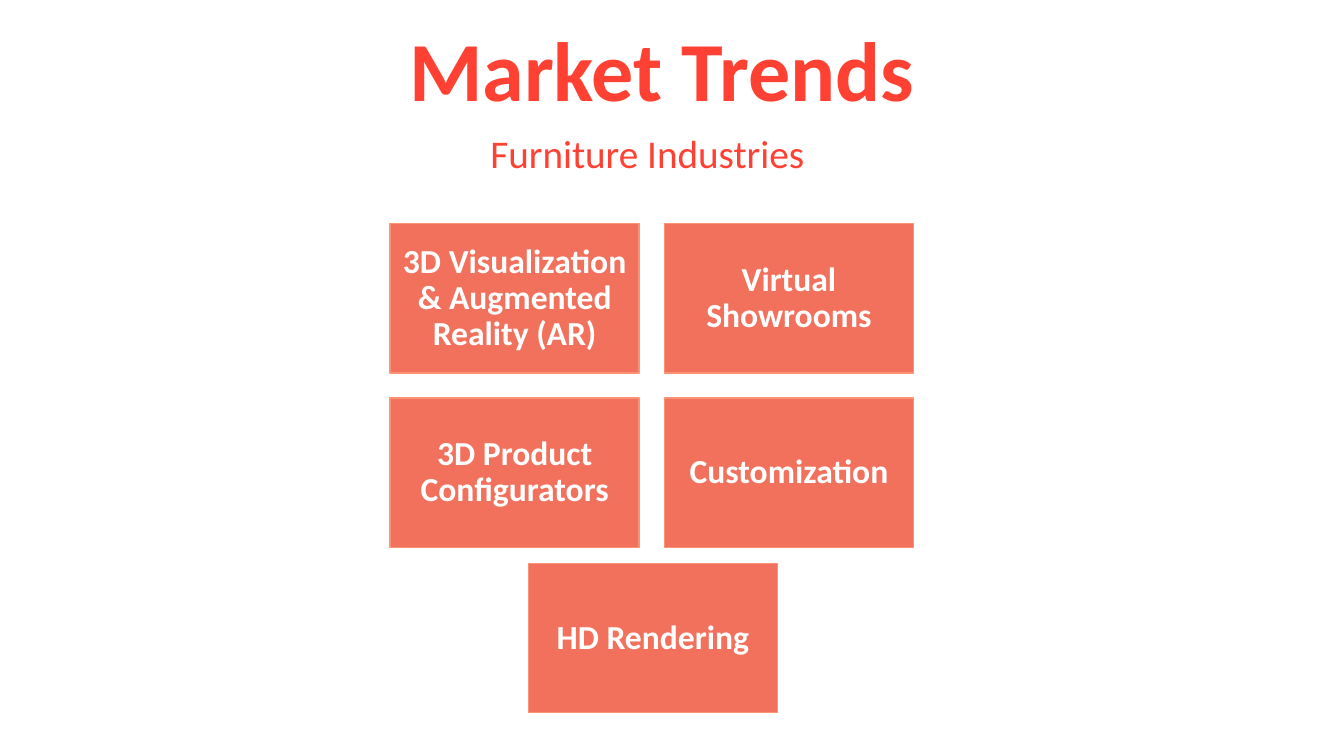
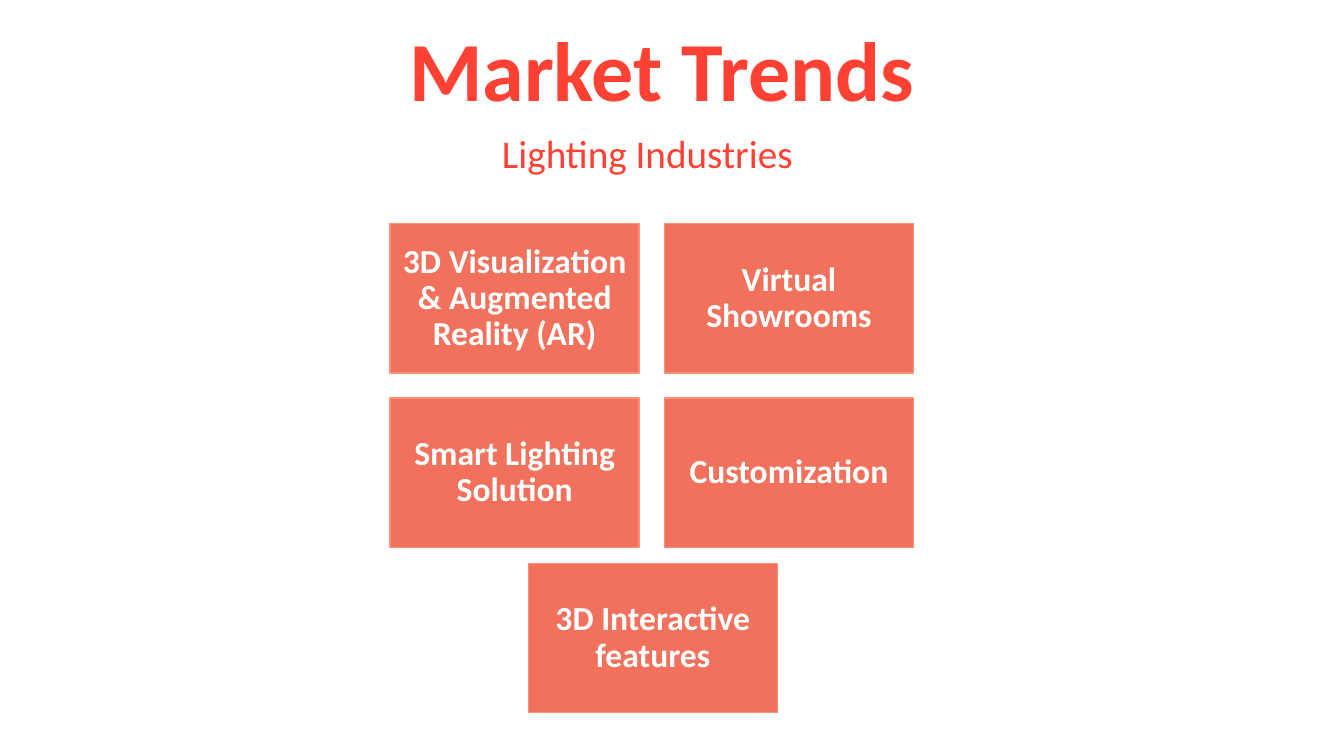
from pptx import Presentation
from pptx.dml.color import RGBColor
from pptx.enum import shapes, text
from pptx.util import Inches, Pt

# Content
TITLE = "Market Trends"
SLIDES = [
    ("Furniture Industries",
     ["3D Visualization & Augmented Reality (AR)", "Virtual Showrooms",
      "3D Product Configurators", "Customization", "HD Rendering"]),
    ("Lighting Industries",
     ["3D Visualization & Augmented Reality (AR)", "Virtual Showrooms",
      "Smart Lighting Solution", "Customization", "3D Interactive features"]),
]

# Shared style
RED, CORAL, PEACH, WHITE = "FF4133", "F2715C", "FD9173", "FFFFFF"
TITLE_FONT = {"size": Pt(60), "bold": True}
SUBTITLE_FONT = {"size": Pt(28), "bold": False}
CARD_FONT = {"size": Pt(24), "bold": True}

# Card grid: two columns, with the last card alone below
CARD_W, CARD_H = 2.47, 1.48
GRID_X, GRID_Y = 3.87, 2.22
GAP = 0.25
LAST_X, LAST_Y = 5.24, 5.59


def rgb(value):
    return RGBColor.from_string(value)


def write(tf, words, font, color, align):
    tf.word_wrap = True
    p = tf.paragraphs[0]
    p.alignment = align
    r = p.add_run()
    r.text = words
    r.font.name = "Calibri"
    r.font.color.rgb = rgb(color)
    for name, value in font.items():
        setattr(r.font, name, value)
    return p


def add_heading(s, box, words, font, align):
    sp = s.shapes.add_textbox(*map(Inches, box))
    write(sp.text_frame, words, font, RED, align)


def add_card(s, x, y, words):
    sp = s.shapes.add_shape(shapes.MSO_SHAPE.RECTANGLE,
                            *map(Inches, (x, y, CARD_W, CARD_H)))
    sp.shadow.inherit = False
    sp.fill.solid()
    sp.fill.fore_color.rgb = rgb(CORAL)
    sp.line.color.rgb = rgb(PEACH)
    sp.line.width = Pt(1)
    tf = sp.text_frame
    tf.vertical_anchor = text.MSO_ANCHOR.MIDDLE
    for side in ("left", "top", "right", "bottom"):
        setattr(tf, f"margin_{side}", Inches(0.1))
    p = write(tf, words, CARD_FONT, WHITE, text.PP_ALIGN.CENTER)
    p.line_spacing = 0.9


def card_position(i, count):
    if i == count - 1:
        return LAST_X, LAST_Y
    row, col = divmod(i, 2)
    return GRID_X + col * (CARD_W + GAP), GRID_Y + row * (CARD_H + GAP)


def main():
    prs = Presentation()
    prs.slide_width, prs.slide_height = Inches(13.33), Inches(7.5)
    for subtitle, trends in SLIDES:
        s = prs.slides.add_slide(prs.slide_layouts[6])
        # Headings
        add_heading(s, (3.96, 0.12, 5.41, 1.11), TITLE, TITLE_FONT,
                    text.PP_ALIGN.LEFT)
        add_heading(s, (3.25, 1.23, 6.34, 0.57), subtitle, SUBTITLE_FONT,
                    text.PP_ALIGN.CENTER)
        # Trend cards
        for i, trend in enumerate(trends):
            add_card(s, *card_position(i, len(trends)), trend)
    prs.save("out.pptx")


if __name__ == "__main__":
    main()
